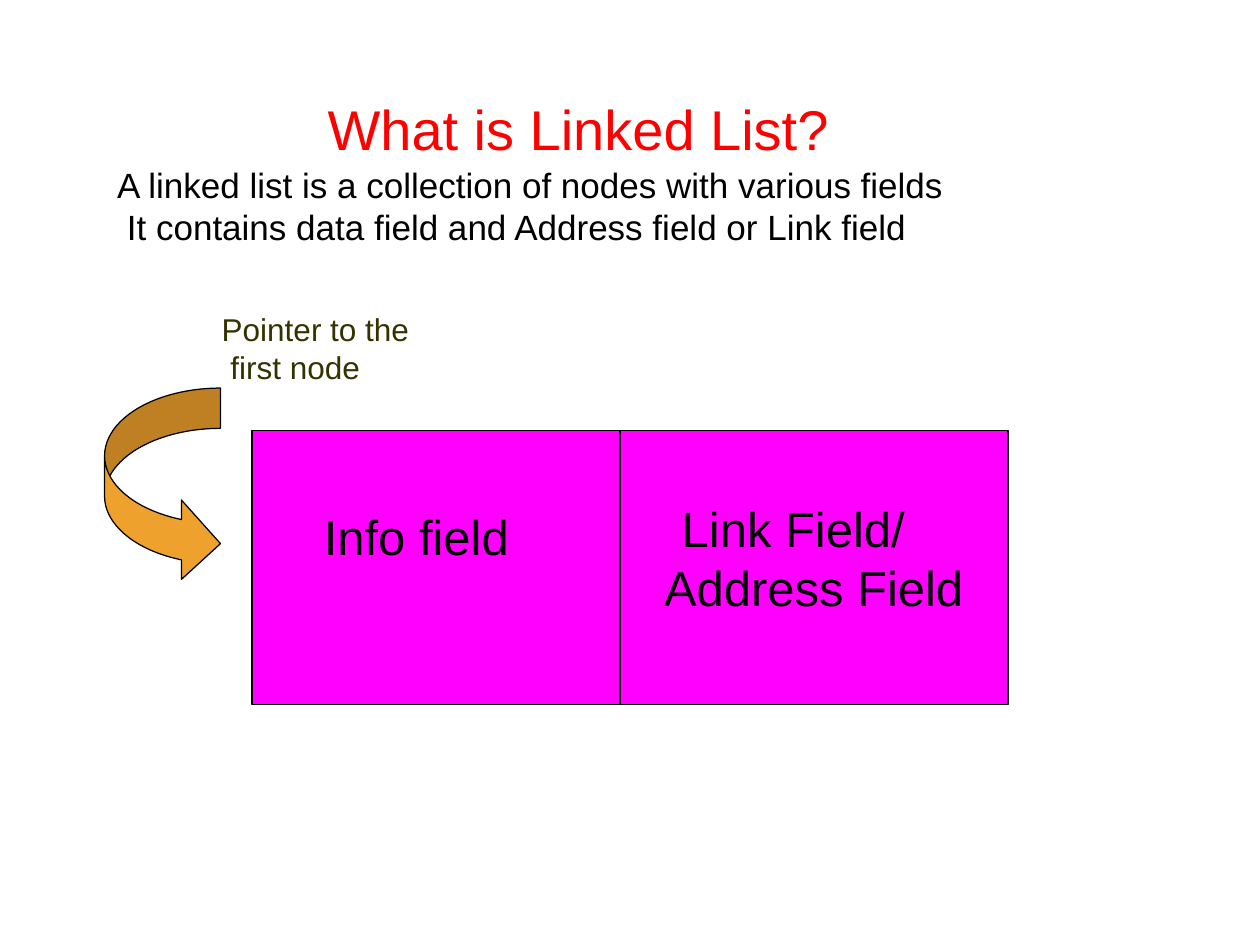
"""Build a slide that introduces the linked list and its node fields."""
import pptx
import pptx.dml.color
import pptx.enum.shapes
import pptx.enum.text
import pptx.util

Inches = pptx.util.Inches
Pt = pptx.util.Pt
SHAPE = pptx.enum.shapes.MSO_SHAPE
COLORS = {
    "title": "FF0000",
    "text": "000000",
    "label": "333300",
    "node": "FF00FF",
    "arrow": "EFA12D",
    "line": "000000",
}


class SlideBuilder:
    def __init__(self, prs):
        self.font = "Arial"
        self.slide = prs.slides.add_slide(prs.slide_layouts[5])

    def color(self, name):
        return pptx.dml.color.RGBColor.from_string(COLORS[name])

    def frame(self, sp, top=0.01):
        tf = sp.text_frame
        tf.word_wrap = True
        tf.auto_size = pptx.enum.text.MSO_AUTO_SIZE.NONE
        tf.vertical_anchor = pptx.enum.text.MSO_ANCHOR.TOP
        tf.margin_left = tf.margin_right = tf.margin_bottom = 0
        tf.margin_top = Inches(top)
        return tf

    def add_lines(self, p, lines, size, color, left=0.01, first=0):
        p.alignment = pptx.enum.text.PP_ALIGN.LEFT
        pPr = p._p.get_or_add_pPr()
        pPr.set("marL", str(int(Inches(left))))
        pPr.set("indent", str(int(Inches(first))))
        for i, line in enumerate(lines):
            if i:
                p.add_line_break()
            r = p.add_run()
            r.text = line
            r.font.name = self.font
            r.font.size = Pt(size)
            r.font.color.rgb = self.color(color)

    def title(self, box, heading, lines):
        sp = self.slide.shapes.title
        sp.left, sp.top, sp.width, sp.height = map(Inches, box)
        tf = self.frame(sp)
        self.add_lines(tf.paragraphs[0], [heading], 32, "title", left=1.68)
        self.add_lines(tf.add_paragraph(), lines, 20, "text")
        for p in tf.paragraphs:
            p.space_before = Pt(1.1)

    def label(self, box, lines):
        sp = self.slide.shapes.add_textbox(*map(Inches, box))
        self.add_lines(self.frame(sp).paragraphs[0], lines, 18, "label")

    def shape(self, kind, box, fill):
        sp = self.slide.shapes.add_shape(kind, *map(Inches, box))
        sp.shadow.inherit = False
        sp.fill.solid()
        sp.fill.fore_color.rgb = self.color(fill)
        sp.line.color.rgb = self.color("line")
        sp.line.width = Pt(0.72)
        return sp

    def field(self, box, lines, top, left, first=0):
        sp = self.shape(SHAPE.RECTANGLE, box, "node")
        p = self.frame(sp, top).paragraphs[0]
        self.add_lines(p, lines, 28, "text", left, first)

    def curved_arrow(self, box, shaft, head_width, head_length):
        sp = self.shape(SHAPE.CURVED_RIGHT_ARROW, box, "arrow")
        for i, length in enumerate((shaft, head_width, head_length)):
            sp.adjustments[i] = length / box[2]


def main():
    prs = pptx.Presentation()
    prs.slide_width, prs.slide_height = Inches(10), Inches(7.5)
    s = SlideBuilder(prs)
    s.title((0.92, 0.74, 6.7, 1.25), "What is Linked List?", [
        "A linked list is a collection of nodes with various fields",
        " It contains data field and Address field or Link field",
    ])
    s.field((2, 3.42, 2.92, 2.17), ["Info field"], top=0.6, left=0.57)
    s.field((4.92, 3.42, 3.08, 2.17), ["Link Field/", "Address Field"],
            top=0.54, left=0.35, first=0.14)
    s.curved_arrow((0.83, 3.08, 0.92, 1.55),
                   shaft=0.32, head_width=0.63, head_length=0.31)
    s.label((1.75, 2.45, 1.51, 0.63), ["Pointer to the", " first node"])
    prs.save("out.pptx")


if __name__ == "__main__":
    main()
